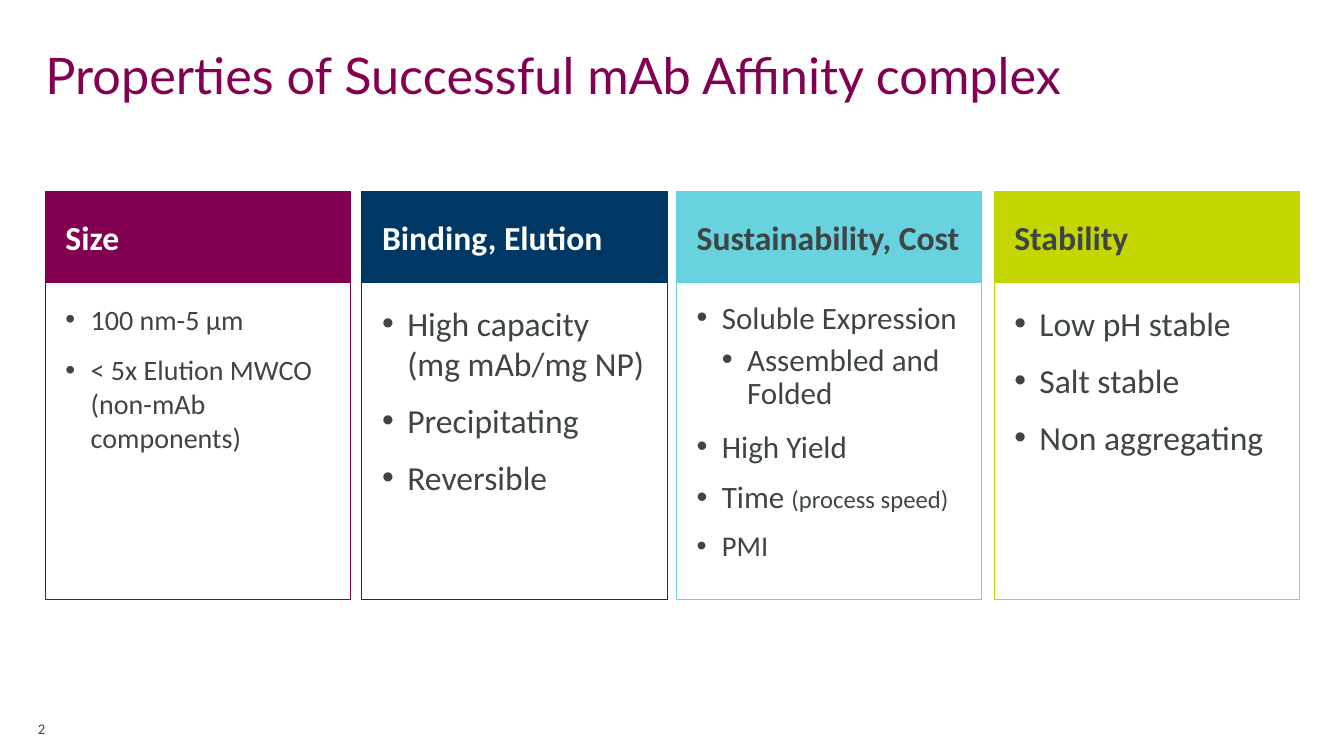
from lxml import etree
from pptx import Presentation
from pptx import util as u
from pptx.dml import color
from pptx.enum import shapes, text
from pptx.oxml import ns

COLORS = {"plum": "830051", "navy": "003865", "aqua": "68D2DF",
          "lime": "C4D600", "ink": "3F4444", "white": "FFFFFF"}
CARDS = [
    (0.45, "Size", "plum", "white", None, [
        (0, [("100 nm-5 μm", 20)]),
        (0, [("< 5x Elution MWCO (non-mAb components)", 20)])]),
    (3.59, "Binding, Elution", "navy", "white", None, [
        (0, [("High capacity (mg mAb/mg NP)", 24)]),
        (0, [("Precipitating", 24)]),
        (0, [("Reversible", 24)])]),
    (6.71, "Sustainability, Cost", "aqua", "ink", 0.9, [
        (0, [("Soluble Expression", 22.2)]),
        (1, [("Assembled and Folded", 22.2)]),
        (0, [("High Yield", 22.2)]),
        (0, [("Time ", 22.2), ("(process speed)", 17.6)]),
        (0, [("PMI", 20.4)])]),
    (9.86, "Stability", "lime", "ink", None, [
        (0, [("Low pH stable", 24)]),
        (0, [("Salt stable", 24)]),
        (0, [("Non aggregating", 24)])]),
]
CARD_TOP, CARD_WIDTH, HEADER_HEIGHT, BODY_HEIGHT = 1.9, 3.03, 0.9, 3.15


def rgb(name):
    return color.RGBColor.from_string(COLORS[name])


def set_all(target, values):
    for key, value in values.items():
        setattr(target, key, value)


def place(sp, *box):
    set_all(sp, dict(zip(("left", "top", "width", "height"), map(u.Inches, box))))


def format_frame(tf, anchor, left, top, right, bottom):
    set_all(tf, {"word_wrap": True, "auto_size": text.MSO_AUTO_SIZE.NONE,
                 "vertical_anchor": anchor,
                 "margin_left": u.Inches(left), "margin_top": u.Inches(top),
                 "margin_right": u.Inches(right), "margin_bottom": u.Inches(bottom)})


def add_run(p, words, size, tint, font="Calibri", bold=False):
    r = p.add_run()
    r.text = words
    set_all(r.font, {"size": u.Pt(size), "name": font, "bold": bold})
    r.font.color.rgb = rgb(tint)


def add_bullet(p, level):
    pPr = p._p.get_or_add_pPr()
    pPr.set("marL", str(u.Inches(0.25 * (level + 1))))
    pPr.set("indent", str(u.Inches(-0.25)))
    tint = etree.SubElement(pPr, ns.qn("a:buClr"))
    etree.SubElement(tint, ns.qn("a:srgbClr"), val=COLORS["ink"])
    etree.SubElement(pPr, ns.qn("a:buFont"), typeface="Arial")
    etree.SubElement(pPr, ns.qn("a:buChar"), char="•")


def add_panel(s, box, tint, filled):
    sp = s.shapes.add_shape(shapes.MSO_SHAPE.RECTANGLE, *map(u.Inches, box))
    sp.shadow.inherit = False
    sp.line.color.rgb = rgb(tint)
    sp.line.width = u.Pt(0.75)
    if filled:
        sp.fill.solid()
        sp.fill.fore_color.rgb = rgb(tint)
    else:
        sp.fill.background()
    return sp.text_frame


def add_header(s, box, words, tint, text_tint):
    tf = add_panel(s, box, tint, True)
    format_frame(tf, text.MSO_ANCHOR.MIDDLE, 0.2, 0.05, 0.2, 0.05)
    p = tf.paragraphs[0]
    p.alignment = text.PP_ALIGN.LEFT
    add_run(p, words, 24, text_tint, bold=True)


def add_body(s, box, tint, spacing, items):
    tf = add_panel(s, box, tint, False)
    format_frame(tf, text.MSO_ANCHOR.TOP, 0.2, 0.2, 0.2, 0.2)
    for i, (level, runs) in enumerate(items):
        p = tf.add_paragraph() if i else tf.paragraphs[0]
        add_bullet(p, level)
        set_all(p, {"level": level, "alignment": text.PP_ALIGN.LEFT,
                    "line_spacing": spacing,
                    "space_before": u.Pt(6 if i and not level else 0),
                    "space_after": u.Pt(8 if level else 6)})
        for words, size in runs:
            add_run(p, words, size, "ink")


def add_card(s, left, top, heading, tint, text_tint, spacing, items):
    add_header(s, (left, top, CARD_WIDTH, HEADER_HEIGHT), heading, tint, text_tint)
    add_body(s, (left, top + HEADER_HEIGHT, CARD_WIDTH, BODY_HEIGHT),
             tint, spacing, items)


def add_title(s, box):
    sp = s.shapes.title
    place(sp, *box)
    format_frame(sp.text_frame, text.MSO_ANCHOR.TOP, 0, 0, 0, 0)
    p = sp.text_frame.paragraphs[0]
    p.alignment = text.PP_ALIGN.LEFT
    add_run(p, "Properties of Successful mAb Affinity complex", 36, "plum", "Lato")


def add_page_number(s, box):
    tf = s.shapes.add_textbox(*map(u.Inches, box)).text_frame
    format_frame(tf, text.MSO_ANCHOR.BOTTOM, 0, 0, 0, 0.08)
    p = tf.paragraphs[0]
    p.alignment = text.PP_ALIGN.RIGHT
    add_run(p, "2", 10.5, "ink")


def main():
    prs = Presentation()
    set_all(prs, {"slide_width": u.Inches(13.33), "slide_height": u.Inches(7.5)})
    s = prs.slides.add_slide(prs.slide_layouts[5])
    add_page_number(s, (0, 7.06, 0.45, 0.34))
    add_title(s, (0.45, 0.44, 12.44, 1.1))
    for left, *card in CARDS:
        add_card(s, left, CARD_TOP, *card)
    prs.save("out.pptx")


if __name__ == "__main__":
    main()
